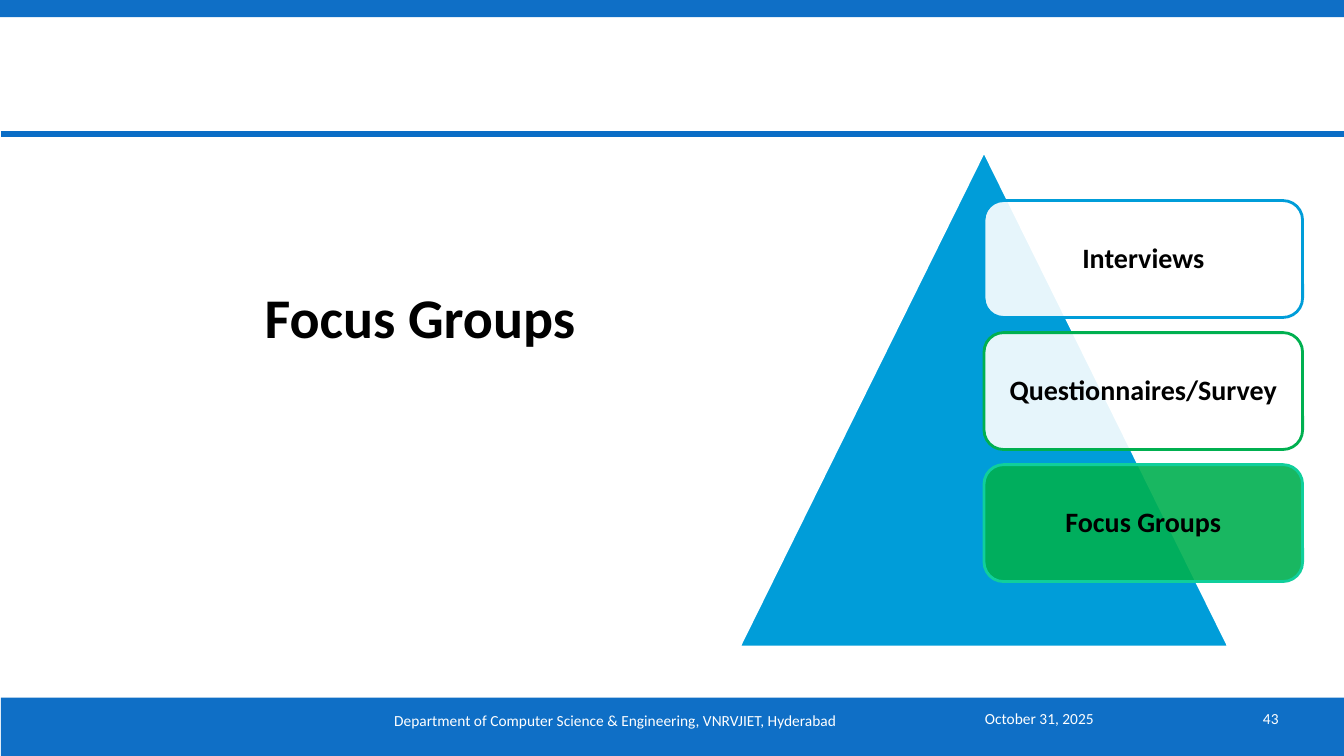
from lxml.etree import SubElement
from pptx import Presentation
from pptx.dml.color import RGBColor
from pptx.enum.shapes import MSO_CONNECTOR, MSO_SHAPE as SHAPE
from pptx.enum.text import MSO_ANCHOR, PP_ALIGN as ALIGN
from pptx.oxml.ns import qn
from pptx.util import Inches, Pt

COLORS = {"bar": "0F6FC6", "rule": "0A6DC6", "blue": "009DD9", "green": "00B050",
          "mint": "10CF9B", "white": "FFFFFF", "black": "000000"}
WIDTH, HEIGHT = 13.33, 7.5


def rgb(name):
    return RGBColor.from_string(COLORS[name])


def write(s, text, size, color, align, bold=False):
    """Put one middle-anchored paragraph into a shape."""
    tf = s.text_frame
    tf.word_wrap = True
    tf.vertical_anchor = MSO_ANCHOR.MIDDLE
    p = tf.paragraphs[0]
    p.text = text
    p.alignment = align
    p.font.name, p.font.size, p.font.bold = "Calibri", Pt(size), bold
    p.font.color.rgb = rgb(color)


prs = Presentation()
prs.slide_width, prs.slide_height = Inches(WIDTH), Inches(HEIGHT)
slide = prs.slides.add_slide(prs.slide_layouts[5])
shapes = slide.shapes

# Bars and header rule
for left, top, height in [(0.01, 6.92, 0.58), (0, 0, 0.17)]:
    bar = shapes.add_shape(SHAPE.RECTANGLE, Inches(left), Inches(top),
                           Inches(WIDTH), Inches(height))
    bar.shadow.inherit = False
    bar.fill.solid()
    bar.fill.fore_color.rgb = rgb("bar")
    bar.line.fill.background()

rule = shapes.add_connector(MSO_CONNECTOR.STRAIGHT, Inches(0.01), Inches(1.33),
                            Inches(WIDTH + 0.01), Inches(1.33))
rule.line.color.rgb = rgb("rule")
rule.line.width = Pt(4)
SubElement(rule._element.spPr, qn("a:effectLst"))

# Title
title = shapes.title
title.left, title.top = Inches(1), Inches(2.33)
title.width, title.height = Inches(6.33), Inches(1.61)
write(title, "Focus Groups", 40, "black", ALIGN.CENTER, bold=True)

# Footer
for text, left, top, width, align in [
    ("October 31, 2025", 9.67, 6.93, 1.89, ALIGN.LEFT),
    ("Department of Computer Science & Engineering, VNRVJIET, Hyderabad",
     2.44, 6.95, 7.33, ALIGN.CENTER),
    ("43", 11.67, 6.93, 1.11, ALIGN.RIGHT),
]:
    box = shapes.add_textbox(Inches(left), Inches(top), Inches(width), Inches(0.4))
    write(box, text, 11, "white", align)

# Triangle with its stack of cards
triangle = shapes.add_shape(SHAPE.ISOSCELES_TRIANGLE, Inches(7.33), Inches(1.5),
                            Inches(4.86), Inches(4.92))
triangle.shadow.inherit = False
triangle.fill.solid()
triangle.fill.fore_color.rgb = rgb("blue")
triangle.line.color.rgb = rgb("white")
triangle.line.width = Pt(2)

CARD_TOP, CARD_STEP = 1.99, 1.31
for row, (text, fill, line) in enumerate([
    ("Interviews", "white", "blue"),
    ("Questionnaires/Survey", "white", "green"),
    ("Focus Groups", "green", "mint"),
]):
    card = shapes.add_shape(SHAPE.ROUNDED_RECTANGLE, Inches(9.76),
                            Inches(CARD_TOP + row * CARD_STEP), Inches(3.16), Inches(1.16))
    card.shadow.inherit = False
    card.fill.solid()
    card.fill.fore_color.rgb = rgb(fill)
    color = card._element.spPr.find(qn("a:solidFill")).find(qn("a:srgbClr"))
    SubElement(color, qn("a:alpha")).set("val", "90000")
    card.line.color.rgb = rgb(line)
    card.line.width = Pt(2)
    write(card, text, 20, "black", ALIGN.CENTER, bold=True)
    card.text_frame.paragraphs[0].line_spacing = 0.9

prs.save("out.pptx")
